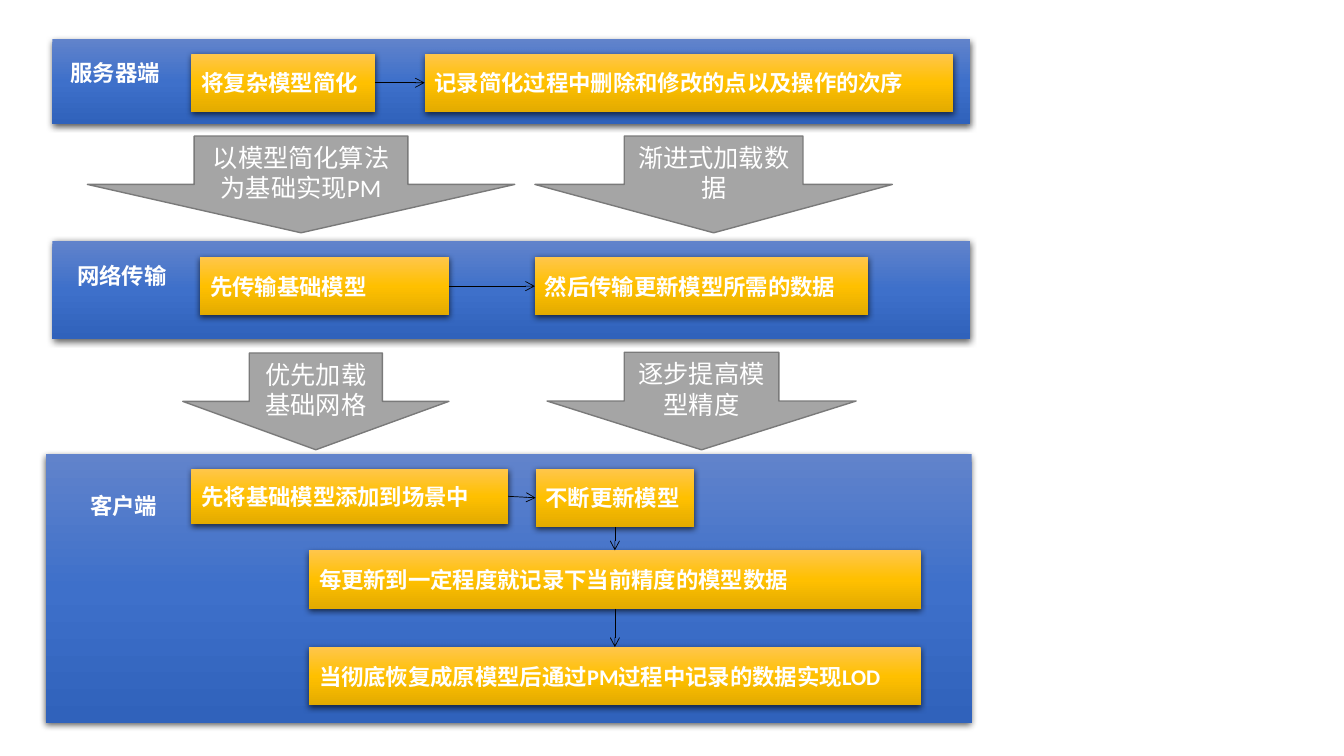
from dataclasses import dataclass

from lxml.etree import SubElement
from pptx import Presentation
from pptx.dml.color import RGBColor
from pptx.enum.dml import MSO_THEME_COLOR
from pptx.enum.shapes import MSO_CONNECTOR, MSO_SHAPE
from pptx.enum.text import MSO_ANCHOR, MSO_AUTO_SIZE, PP_ALIGN
from pptx.oxml.ns import qn
from pptx.util import Inches, Pt

SLIDE_WIDTH, SLIDE_HEIGHT = Inches(13.33), Inches(7.5)
TOP, LEFT, BOTTOM, RIGHT = range(4)


@dataclass(frozen=True)
class Theme:
    font: str = "Calibri"
    step_size: int = 16
    arrow_size: int = 18
    text: str = "FFFFFF"
    panel: tuple = ("6183CB", "3E70CA", "3062BB")
    step: tuple = ("FFC64B", "FFC000", "E3AB00")
    arrow: str = "A5A5A5"
    arrow_outline: str = "7A7A7A"
    link: str = "000000"
    shadow: str = "000000"


THEME = Theme()


def place(left, top, width, height):
    """Turn percentages of the slide's width and height into lengths."""
    return (
        int(SLIDE_WIDTH * left / 100),
        int(SLIDE_HEIGHT * top / 100),
        int(SLIDE_WIDTH * width / 100),
        int(SLIDE_HEIGHT * height / 100),
    )


def write(shape, text, size, bold, alignment):
    frame = shape.text_frame
    frame.word_wrap = True
    frame.text = text
    paragraph = frame.paragraphs[0]
    paragraph.alignment = alignment
    paragraph.font.name = THEME.font
    paragraph.font.size = Pt(size)
    paragraph.font.bold = bold
    paragraph.font.color.rgb = RGBColor.from_string(THEME.text)
    return frame


def fill_gradient(shape, colours):
    """Fill from top to bottom with evenly spaced colours."""
    shape.fill.gradient()
    shape.fill.gradient_angle = 270
    stops = shape.element.spPr.find(qn("a:gradFill")).find(qn("a:gsLst"))
    for stop in list(stops):
        stops.remove(stop)
    for index, colour in enumerate(colours):
        position = 100000 * index // (len(colours) - 1)
        stop = SubElement(stops, qn("a:gs"), pos=str(position))
        SubElement(stop, qn("a:srgbClr"), val=colour)


def cast_shadow(shape):
    shape.shadow.inherit = False
    effects = shape.element.spPr.find(qn("a:effectLst"))
    shadow = SubElement(
        effects, qn("a:outerShdw"), blurRad=str(Pt(4.5)), dist=str(Pt(1.5)),
        dir="5400000", algn="ctr", rotWithShape="0",
    )
    colour = SubElement(shadow, qn("a:srgbClr"), val=THEME.shadow)
    SubElement(colour, qn("a:alpha"), val="63000")


def add_block(slide, box, colours):
    """Add a borderless gradient rectangle with a soft shadow."""
    block = slide.shapes.add_shape(MSO_SHAPE.RECTANGLE, *place(*box))
    fill_gradient(block, colours)
    block.line.fill.background()
    cast_shadow(block)
    return block


def add_step(slide, text, box):
    step = add_block(slide, box, THEME.step)
    frame = write(step, text, THEME.step_size, True, PP_ALIGN.LEFT)
    frame.vertical_anchor = MSO_ANCHOR.MIDDLE
    return step


def add_label(slide, text, box, alignment=PP_ALIGN.LEFT):
    label = slide.shapes.add_textbox(*place(*box))
    frame = write(label, text, THEME.step_size, True, alignment)
    frame.auto_size = MSO_AUTO_SIZE.SHAPE_TO_FIT_TEXT


def add_down_arrow(slide, text, box):
    arrow = slide.shapes.add_shape(MSO_SHAPE.DOWN_ARROW, *place(*box))
    arrow.shadow.inherit = False
    arrow.fill.solid()
    arrow.fill.fore_color.rgb = RGBColor.from_string(THEME.arrow)
    arrow.line.color.rgb = RGBColor.from_string(THEME.arrow_outline)
    arrow.line.width = Pt(1)
    frame = write(arrow, text, THEME.arrow_size, False, PP_ALIGN.CENTER)
    frame.vertical_anchor = MSO_ANCHOR.MIDDLE


def link(slide, start, start_side, end, end_side):
    connector = slide.shapes.add_connector(MSO_CONNECTOR.STRAIGHT, 0, 0, 0, 0)
    connector.begin_connect(start, start_side)
    connector.end_connect(end, end_side)
    connector.line.color.rgb = RGBColor.from_string(THEME.link)
    connector.line.width = Pt(0.5)
    SubElement(connector.line._get_or_add_ln(), qn("a:tailEnd"), type="arrow")
    SubElement(connector.element.spPr, qn("a:effectLst"))


def add_server(slide):
    add_block(slide, (3.9, 5.2, 68.3, 11.2), THEME.panel)
    add_label(slide, "服务器端", (4.5, 7.1, 8.4, 4.9))
    simplify = add_step(slide, "将复杂模型简化", (14.25, 7.1, 13.65, 7.7))
    record = add_step(
        slide, "记录简化过程中删除和修改的点以及操作的次序", (31.6, 7.1, 39.3, 7.7))
    link(slide, simplify, RIGHT, record, LEFT)


def add_network(slide):
    add_block(slide, (3.9, 31.9, 68.3, 12.9), THEME.panel)
    add_label(slide, "网络传输", (5, 34, 8.4, 4.9))
    base = add_step(slide, "先传输基础模型", (14.9, 34, 18.5, 7.7))
    update = add_step(slide, "然后传输更新模型所需的数据", (39.8, 34, 24.8, 7.7))
    link(slide, base, RIGHT, update, LEFT)


def add_client(slide):
    add_block(slide, (3.4, 60.1, 68.9, 35.5), THEME.panel)
    add_label(slide, "客户端", (4.7, 64.4, 9, 4.9), PP_ALIGN.CENTER)
    base = add_step(slide, "先将基础模型添加到场景中", (14.25, 62, 23.55, 7.3))
    update = add_step(slide, "不断更新模型", (39.85, 62, 11.8, 7.7))
    record = add_step(
        slide, "每更新到一定程度就记录下当前精度的模型数据", (23, 72.8, 45.5, 7.7))
    restore = add_step(
        slide, "当彻底恢复成原模型后通过PM过程中记录的数据实现LOD", (23, 85.6, 45.5, 7.7))
    link(slide, base, RIGHT, update, LEFT)
    for upper, lower in ((update, record), (record, restore)):
        link(slide, upper, BOTTOM, lower, TOP)


def main():
    presentation = Presentation()
    presentation.slide_width = SLIDE_WIDTH
    presentation.slide_height = SLIDE_HEIGHT
    slide = presentation.slides.add_slide(presentation.slide_layouts[6])
    slide.background.fill.solid()
    slide.background.fill.fore_color.theme_color = MSO_THEME_COLOR.BACKGROUND_1

    add_server(slide)
    add_down_arrow(slide, "以模型简化算法为基础实现PM", (6.5, 18, 31.8, 12.8))
    add_down_arrow(slide, "渐进式加载数据", (39.8, 18, 26.6, 12.8))
    add_network(slide)
    add_down_arrow(slide, "优先加载基础网格", (13.6, 46.7, 19.8, 12.8))
    add_down_arrow(slide, "逐步提高模型精度", (40.7, 46.6, 23, 12.9))
    add_client(slide)
    presentation.save("out.pptx")


if __name__ == "__main__":
    main()
